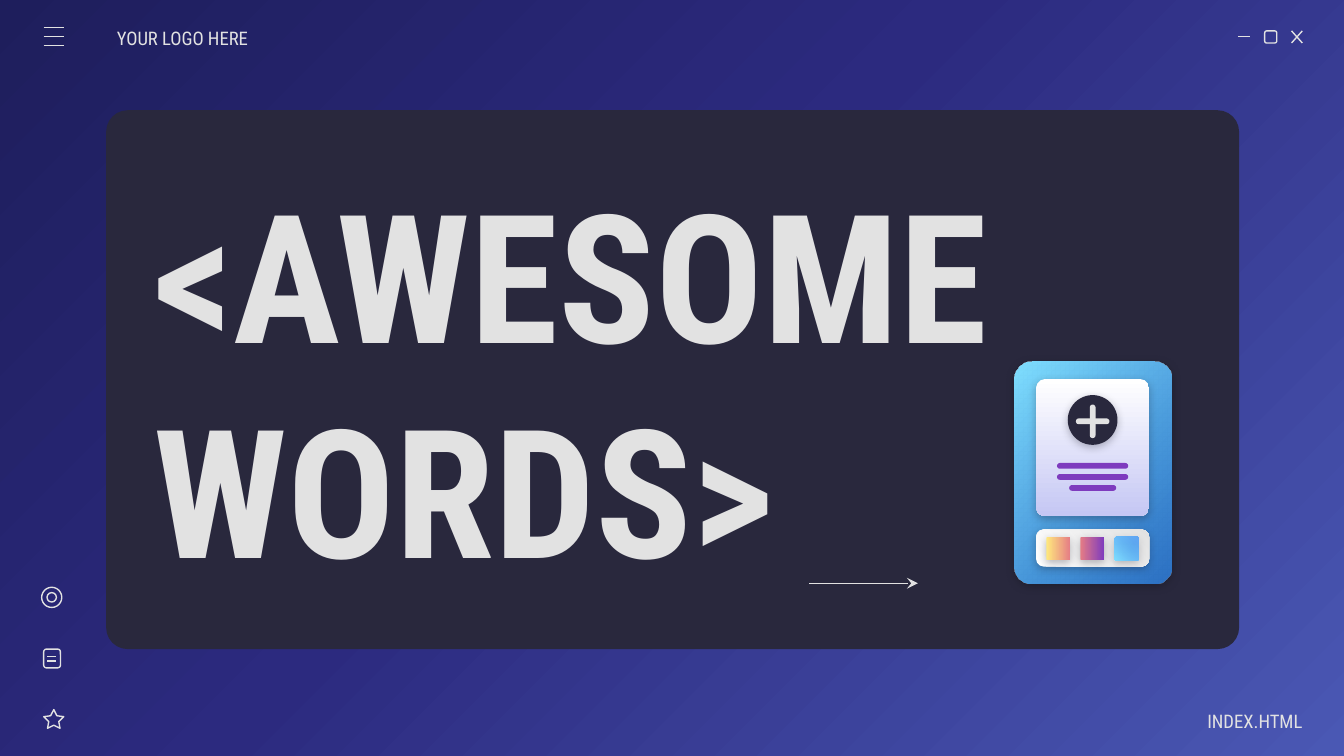
"""Build a title slide styled as a code window, on a grid of 100 columns with square cells."""
import dataclasses
import typing

import lxml.etree
import pptx
import pptx.dml.color
import pptx.enum.shapes
import pptx.enum.text
import pptx.oxml.ns
import pptx.util

FONT = "Roboto Condensed"
PALE, DARK, SHADE, PLUM = "E2E2E2", "29283D", "1E1E2C", "7E3BBE"
SKY = ((0, "80DFFF", 100), (100, "318FFA", 72))
Kind = pptx.enum.shapes.MSO_SHAPE
Align = pptx.enum.text.PP_ALIGN

deck = pptx.Presentation()
deck.slide_width = pptx.util.Inches(10)
deck.slide_height = pptx.util.Inches(5.625)
CELL = deck.slide_width / 100
slide = deck.slides.add_slide(deck.slide_layouts[5])


class Box(typing.NamedTuple):
    """A place on the grid: column, row, columns wide and rows high."""
    col: float
    row: float
    wide: float
    high: float


@dataclasses.dataclass
class Form:
    """A preset shape with its paint; a shade of 0 means no shadow."""
    box: Box
    kind: Kind = Kind.ROUNDED_RECTANGLE
    curve: float | None = None
    fill: str | None = None
    stops: tuple = ()
    angle: int = 0
    shade: int = 0


def grid(*cells: float) -> list[int]:
    """Turn grid cells into lengths."""
    return [round(cell * CELL) for cell in cells]


def tint(code: str) -> pptx.dml.color.RGBColor:
    """Turn a hex string into a colour."""
    return pptx.dml.color.RGBColor.from_string(code)


def add(host, tag: str, **attrs):
    """Add a drawing element below a host element."""
    named = {key: str(val) for key, val in attrs.items()}
    return lxml.etree.SubElement(host, pptx.oxml.ns.qn("a:" + tag), named)


def paint(host, code: str, alpha: int) -> None:
    """Add a colour with its opacity in percent."""
    add(add(host, "srgbClr", val=code), "alpha", val=alpha * 1000)


def blend(fill, root, stops: tuple, angle: int) -> None:
    """Fill with a linear gradient, its angle turning clockwise."""
    fill.gradient()
    grad = root.xpath(".//a:gradFill")[0]
    for child in list(grad):
        grad.remove(child)
    steps = add(grad, "gsLst")
    for place, code, alpha in stops:
        paint(add(steps, "gs", pos=place * 1000), code, alpha)
    add(grad, "lin", ang=angle * 60000, scaled=0)


def draw(form: Form) -> None:
    """Draw a shape, outlined when it has no fill."""
    shape = slide.shapes.add_shape(form.kind, *grid(*form.box))
    shape.shadow.inherit = False
    if form.curve is not None:
        shape.adjustments[0] = form.curve
    if form.stops:
        blend(shape.fill, shape.element, form.stops, form.angle)
    elif form.fill:
        shape.fill.solid()
        shape.fill.fore_color.rgb = tint(form.fill)
    else:
        shape.fill.background()
    if form.stops or form.fill:
        shape.line.fill.background()
    else:
        shape.line.color.rgb = tint(PALE)
        shape.line.width = pptx.util.Pt(0.75)
    if form.shade:
        glow = add(shape.element.xpath(".//a:effectLst")[0], "outerShdw",
                   blurRad=pptx.util.Pt(4.5), dist=pptx.util.Pt(1.5),
                   dir=5400000, algn="bl", rotWithShape=0)
        paint(glow, SHADE, form.shade)


def rule(left: float, top: float, right: float, low: float, tip: str = "") -> None:
    """Draw a thin line, with an arrowhead at its end if a tip is named."""
    line = slide.shapes.add_connector(
        pptx.enum.shapes.MSO_CONNECTOR.STRAIGHT, *grid(left, top, right, low))
    line.line.color.rgb = tint(PALE)
    line.line.width = pptx.util.Pt(0.75)
    if tip:
        add(line.element.xpath(".//a:ln")[0], "tailEnd", type=tip)
    add(line.element.xpath("./p:spPr")[0], "effectLst")


def write(shape, text: str, size: int, align: Align, pads: tuple, bold: bool = False) -> None:
    """Set the words of a box, with left and right pads in cells."""
    frame = shape.text_frame
    frame.word_wrap = True
    frame.auto_size = pptx.enum.text.MSO_AUTO_SIZE.NONE
    frame.vertical_anchor = pptx.enum.text.MSO_ANCHOR.MIDDLE
    frame.margin_left, frame.margin_right = grid(*pads)
    frame.margin_top = frame.margin_bottom = grid(1)[0]
    frame.text = text
    line = frame.paragraphs[0]
    line.alignment = align
    line.line_spacing = 1.0 if bold else 1.15
    line.font.name, line.font.size, line.font.bold = FONT, pptx.util.Pt(size), bold
    line.font.color.rgb = tint(PALE)


def label(box: Box, text: str, align: Align, pads: tuple) -> None:
    """Add a small corner label."""
    write(slide.shapes.add_textbox(*grid(*box)), text, 10, align, pads)


def frame() -> None:
    """Draw the backdrop, the panel and the window controls."""
    blend(slide.background.fill, slide.element,
          ((0, "1E1E5C", 100), (46, "2C2A7F", 100), (100, "4A58B4", 100)), 45)
    draw(Form(Box(7.9, 8.2, 84.3, 40.1), curve=0.04, fill=DARK))
    rule(92.1, 2.7, 93, 2.7)
    draw(Form(Box(94.1, 2.3, 0.9, 0.9)))
    rule(96.1, 2.3, 96.9, 3.2)
    rule(96.9, 2.3, 96.1, 3.2)
    for step in range(3):
        rule(3.25, 2.05 + 0.67 * step, 4.75, 2.05 + 0.67 * step)


def icons() -> None:
    """Draw the target, page and star icons on the left."""
    draw(Form(Box(3.1, 43.7, 1.5, 1.5), Kind.OVAL))
    draw(Form(Box(3.5, 44.1, 0.7, 0.7), Kind.OVAL))
    draw(Form(Box(3.25, 48.3, 1.25, 1.4)))
    for row in (48.85, 49.2):
        rule(3.5, row, 4.2, row)
    draw(Form(Box(3.25, 52.8, 1.5, 1.4), Kind.STAR_5_POINT, 0.25))


def device() -> None:
    """Draw the blue card with its page and its row of swatches."""
    mid = 81.3
    draw(Form(Box(75.5, 26.9, 11.7, 16.5), curve=0.11, stops=SKY, angle=45, shade=100))
    draw(Form(Box(mid - 4.2, 28.2, 8.4, 10.2), curve=0.08, angle=90, shade=30,
              stops=((0, "FFFFFF", 100), (100, "C5C7F4", 100))))
    for step, wide in enumerate((5.3, 5.3, 3.5)):
        draw(Form(Box(mid - wide / 2, 34.45 + 0.82 * step, wide, 0.43), curve=0.5, fill=PLUM))
    draw(Form(Box(mid - 1.85, 29.4, 3.7, 3.7), Kind.OVAL, fill=DARK, shade=30))
    for wide, high in ((2.5, 0.43), (0.43, 2.5)):
        draw(Form(Box(mid - wide / 2, 31.35 - high / 2, wide, high), curve=0.5, fill=PALE))
    draw(Form(Box(mid - 4.2, 39.4, 8.4, 2.75), curve=0.2, angle=315, shade=30,
              stops=((0, "FFFFFF", 100), (100, PALE, 100))))
    warm = ((0, "FFEA7D", 100), (100, "E57C85", 100))
    rose = ((0, "E57C85", 100), (100, PLUM, 100))
    for step, (stops, angle) in enumerate(((warm, 0), (rose, 0), (SKY, 315))):
        draw(Form(Box(77.85 + 2.53 * step, 39.95, 1.8, 1.73), curve=0.07,
                  stops=stops, angle=angle, shade=30))


def main() -> None:
    """Build the slide and save it."""
    frame()
    icons()
    label(Box(8.7, 1.2, 11.7, 3), "YOUR LOGO HERE", Align.LEFT, (0, 1))
    label(Box(85.2, 52, 11.7, 3), "INDEX.HTML", Align.RIGHT, (1, 0))
    title = slide.shapes.title
    title.left, title.top, title.width, title.height = grid(10.4, 13.3, 64.3, 29.8)
    write(title, "<AWESOME WORDS>", 96, Align.LEFT, (1, 1), bold=True)
    slide.shapes[0].element.getparent().append(title.element)
    device()
    rule(60.2, 43.4, 68.3, 43.4, "stealth")
    deck.save("out.pptx")


if __name__ == "__main__":
    main()
